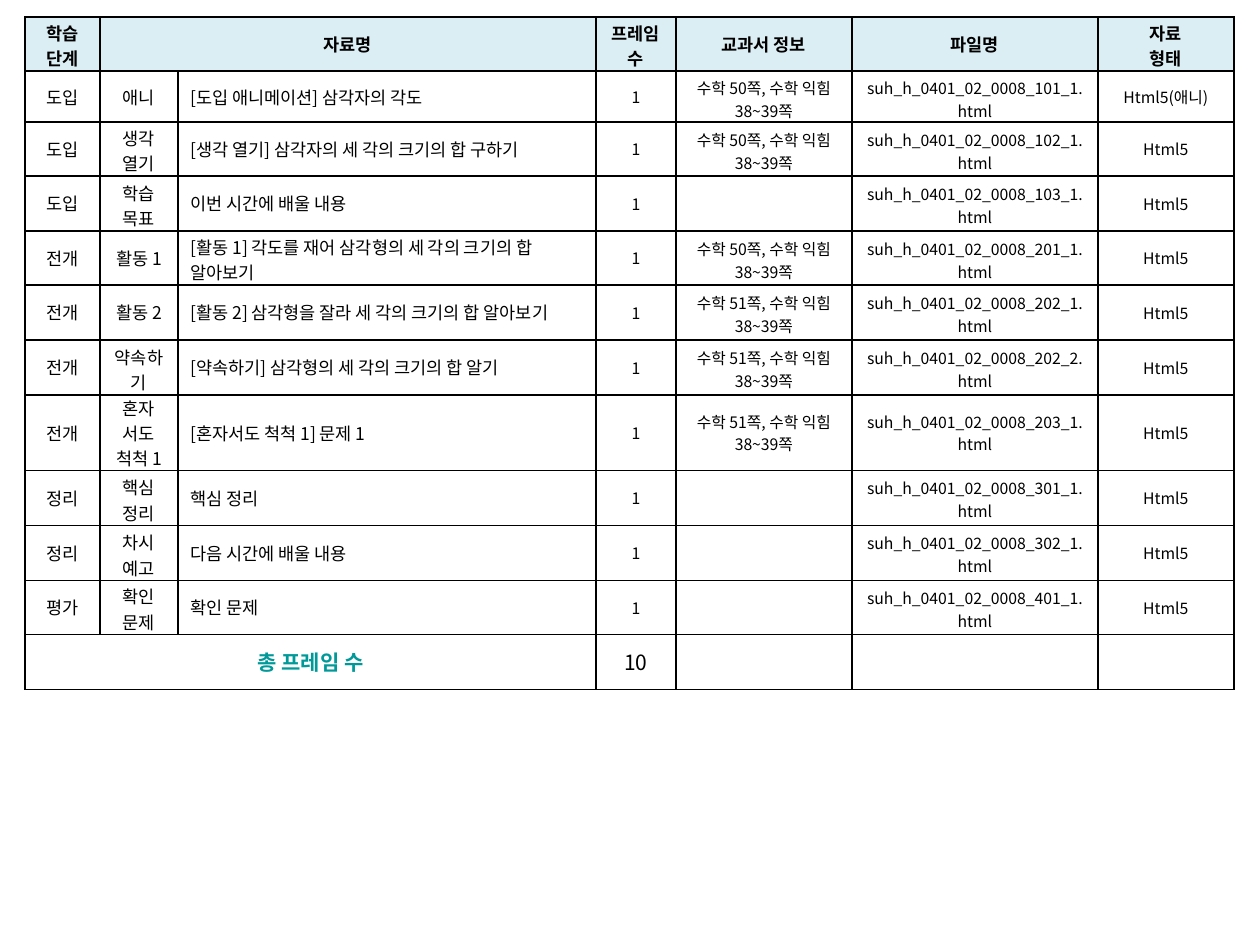
from dataclasses import dataclass
from lxml.etree import SubElement
from pptx import Presentation
from pptx.dml.color import RGBColor
from pptx.enum.text import MSO_ANCHOR, PP_ALIGN
from pptx.oxml.ns import qn
from pptx.util import Pt


@dataclass(frozen=True)
class Theme:
    font: str = "Noto Sans CJK KR"
    ink: str = "000000"
    accent: str = "009999"
    header_fill: str = "DBEEF4"
    label: float = 10
    detail: float = 9
    total: float = 12
    border: float = 1
    inset: int = 6
    line_px: float = 2.54


THEME = Theme()
COLUMNS = [75, 78, 418, 80, 176, 246, 136]
LETTERS_PER_LINE = [3, 3, 24, 3, 9, 20, 9]
ROWS = [54, 51, 54, 55, 54, 55, 55, 75, 55, 55, 54, 55]
TITLE_COLUMN = 2
HEADER = ["학습 단계", "자료명", "", "프레임 수", "교과서 정보", "파일명", "자료\n형태"]
LESSONS = [
    ("도입", "애니", "[도입 애니메이션] 삼각자의 각도", 50, "101_1"),
    ("도입", "생각 열기", "[생각 열기] 삼각자의 세 각의 크기의 합 구하기", 50, "102_1"),
    ("도입", "학습 목표", "이번 시간에 배울 내용", None, "103_1"),
    ("전개", "활동 1", "[활동 1] 각도를 재어 삼각형의 세 각의 크기의 합 알아보기", 50, "201_1"),
    ("전개", "활동 2", "[활동 2] 삼각형을 잘라 세 각의 크기의 합 알아보기", 51, "202_1"),
    ("전개", "약속하기", "[약속하기] 삼각형의 세 각의 크기의 합 알기", 51, "202_2"),
    ("전개", "혼자\n서도\n척척 1", "[혼자서도 척척 1] 문제 1", 51, "203_1"),
    ("정리", "핵심 정리", "핵심 정리", None, "301_1"),
    ("정리", "차시 예고", "다음 시간에 배울 내용", None, "302_1"),
    ("평가", "확인 문제", "확인 문제", None, "401_1"),
]


def px(n):
    return n * 914400 // 126


def set_borders(cell):
    tc_pr = cell._tc.get_or_add_tcPr()
    for side in ("lnL", "lnR", "lnT", "lnB"):
        ln = SubElement(tc_pr, qn(f"a:{side}"), w=str(Pt(THEME.border)))
        fill = SubElement(ln, qn("a:solidFill"))
        SubElement(fill, qn("a:srgbClr"), val=THEME.ink)


def add_run(p, text, size, color, bold):
    r = p.add_run()
    r.text = text
    r.font.size = Pt(size)
    r.font.bold = bold
    r.font.name = THEME.font
    r.font.color.rgb = RGBColor.from_string(color)
    r_pr = r._r.get_or_add_rPr()
    r_pr.set("kern", "0")
    SubElement(r_pr, qn("a:ea"), typeface=THEME.font)


def fit_margins(cell, row, column, text, size):
    lines = sum(2 if len(line.replace(" ", "")) > LETTERS_PER_LINE[column] else 1
                for line in text.split("\n"))
    spare = max(0, int(ROWS[row] - lines * size * THEME.line_px))
    top = min(THEME.inset, spare)
    cell.margin_top = px(top)
    cell.margin_bottom = px(min(THEME.inset, spare - top))


def write_cell(table, row, column, text, size, color=THEME.ink, bold=False,
               align=PP_ALIGN.CENTER):
    cell = table.cell(row, column)
    fit_margins(cell, row, column, text, size)
    tf = cell.text_frame
    for i, line in enumerate(text.split("\n")):
        p = tf.paragraphs[0] if i == 0 else tf.add_paragraph()
        p.alignment = align
        if line:
            add_run(p, line, size, color, bold)
        else:
            SubElement(p._p, qn("a:endParaRPr"), sz=str(int(size * 100)))


def write_header(table):
    for c, text in enumerate(HEADER):
        write_cell(table, 0, c, text, THEME.label, bold=True)
        cell = table.cell(0, c)
        cell.fill.solid()
        cell.fill.fore_color.rgb = RGBColor.from_string(THEME.header_fill)
    table.cell(0, 1).merge(table.cell(0, 2))


def write_lessons(table):
    for row, (stage, kind, title, page, code) in enumerate(LESSONS, 1):
        textbook = f"수학 {page}쪽, 수학 익힘 38~39쪽" if page else ""
        file_name = f"suh_h_0401_02_0008_{code}.html"
        form = "Html5(애니)" if kind == "애니" else "Html5"
        values = [stage, kind, title, "1", textbook, file_name, form]
        for c, text in enumerate(values):
            size = THEME.label if c <= TITLE_COLUMN else THEME.detail
            align = PP_ALIGN.LEFT if c == TITLE_COLUMN else PP_ALIGN.CENTER
            write_cell(table, row, c, text, size, align=align)


def write_total(table):
    last = len(ROWS) - 1
    table.cell(last, 0).merge(table.cell(last, TITLE_COLUMN))
    write_cell(table, last, 0, "총 프레임 수", THEME.total, THEME.accent, True)
    write_cell(table, last, 3, str(len(LESSONS)), THEME.total)
    for c in range(4, len(COLUMNS)):
        write_cell(table, last, c, "", THEME.detail)


def add_lesson_table(s):
    frame = s.shapes.add_table(len(ROWS), len(COLUMNS), px(25), px(17),
                               px(sum(COLUMNS)), px(sum(ROWS)))
    table = frame.table
    table.first_row = table.horz_banding = False
    for column, width in zip(table.columns, COLUMNS):
        column.width = px(width)
    for row, height in zip(table.rows, ROWS):
        row.height = px(height)
    for cell in table.iter_cells():
        set_borders(cell)
        cell.fill.background()
        cell.vertical_anchor = MSO_ANCHOR.MIDDLE
    return table


def main():
    prs = Presentation()
    prs.slide_width, prs.slide_height = px(1260), px(945)
    s = prs.slides.add_slide(prs.slide_layouts[6])
    table = add_lesson_table(s)
    write_header(table)
    write_lessons(table)
    write_total(table)
    prs.save("out.pptx")


if __name__ == "__main__":
    main()
